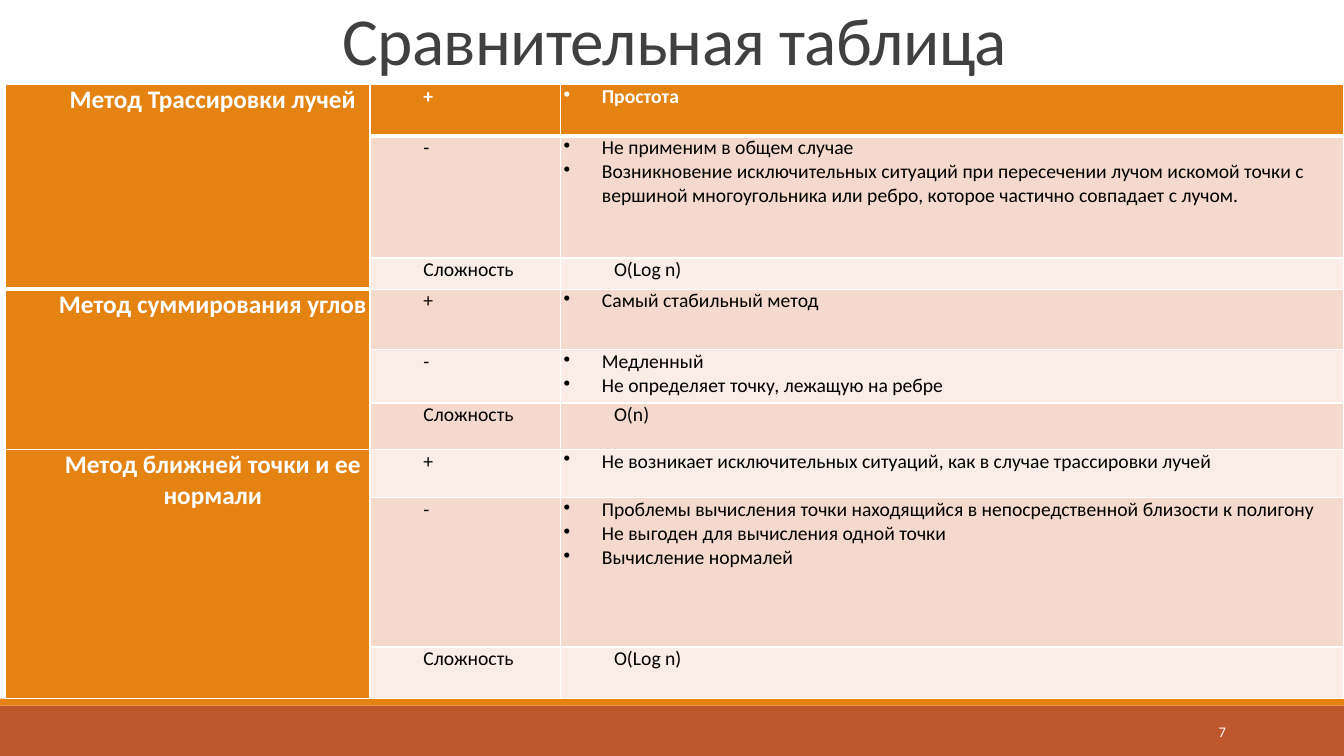
from pptx import Presentation
from pptx.dml.color import RGBColor
from pptx.enum.shapes import MSO_SHAPE as Preset
from pptx.enum.text import MSO_ANCHOR as Anchor, MSO_AUTO_SIZE as AutoSize, PP_ALIGN as Align
from pptx.oxml.ns import qn
from pptx.util import Inches, Pt
from lxml.etree import SubElement

ORANGE, RUST, WHITE, BLACK, GREY = "E48312", "BD582C", "FFFFFF", "000000", "404040"
BANDS = ("FAEDE7", "F5D9CC")

# Widths and heights are percentages of the slide
COLUMNS = (27.15, 14.18, 58.28)
ROWS = (6.8, 16.13, 4.13, 8, 7.07, 6.13, 6.4, 19.73, 6.8)

# Method: advantages, drawbacks, complexity
METHODS = (
    ("Метод Трассировки лучей",
     ["Простота"],
     ["Не применим в общем случае",
      "Возникновение исключительных ситуаций при пересечении лучом искомой точки "
      "с вершиной многоугольника или ребро, которое частично совпадает с лучом."],
     "O(Log n)"),
    ("Метод суммирования углов",
     ["Самый стабильный метод"],
     ["Медленный", "Не определяет точку, лежащую на ребре"],
     "O(n)"),
    ("Метод ближней точки и ее нормали",
     ["Не возникает исключительных ситуаций, как в случае трассировки лучей"],
     ["Проблемы вычисления точки находящийся в непосредственной близости к полигону",
      "Не выгоден для вычисления одной точки",
      "Вычисление нормалей"],
     "O(Log n)"),
)


def color(value):
    return RGBColor.from_string(value)


class SlideBuilder:
    font_name = "Calibri"

    def __init__(self, deck):
        self.deck = deck
        self.slide = deck.slides.add_slide(deck.slide_layouts[5])

    def x(self, percent):
        return round(self.deck.slide_width * percent / 100)

    def y(self, percent):
        return round(self.deck.slide_height * percent / 100)

    def box(self, left, top, width, height):
        return self.x(left), self.y(top), self.x(width), self.y(height)

    def style(self, paragraph, size, ink, bold=False, align=Align.LEFT):
        paragraph.alignment = align
        font = paragraph.font
        font.name, font.size, font.bold = self.font_name, Pt(size), bold
        font.color.rgb = color(ink)

    def title(self, text, *place):
        heading = self.slide.shapes.title
        heading.left, heading.top, heading.width, heading.height = self.box(*place)
        frame = heading.text_frame
        frame.text, frame.vertical_anchor = text, Anchor.BOTTOM
        frame.auto_size, frame.word_wrap = AutoSize.NONE, True
        line = frame.paragraphs[0]
        line.line_spacing = 0.85
        self.style(line, 48, GREY, align=Align.CENTER)
        line.runs[0].font._element.set("spc", "-50")

    def bar(self, fill, *place):
        band = self.slide.shapes.add_shape(Preset.RECTANGLE, *self.box(*place))
        band.shadow.inherit = False
        band.fill.solid()
        band.fill.fore_color.rgb = color(fill)
        band.line.fill.background()

    def label(self, text, size, ink, *place):
        frame = self.slide.shapes.add_textbox(*self.box(*place)).text_frame
        frame.word_wrap, frame.vertical_anchor = True, Anchor.MIDDLE
        frame.text = text
        self.style(frame.paragraphs[0], size, ink, align=Align.RIGHT)

    def table(self, left, top, columns, rows):
        place = self.box(left, top, sum(columns), sum(rows))
        grid = self.slide.shapes.add_table(len(rows), len(columns), *place).table
        grid.first_row = grid.horz_banding = False
        for column, width in zip(grid.columns, columns):
            column.width = self.x(width)
        for row, height in zip(grid.rows, rows):
            row.height = self.y(height)
        return grid

    def cell(self, cell, fill, top=1, bottom=1):
        cell.margin_left = cell.margin_right = Inches(0.03)
        cell.margin_top = cell.margin_bottom = 0
        properties = cell._tc.get_or_add_tcPr()
        for side, width in (("L", 1), ("R", 1), ("T", top), ("B", bottom)):
            border = SubElement(properties, qn(f"a:ln{side}"), w=str(Pt(width)))
            paint = SubElement(border, qn("a:solidFill"))
            SubElement(paint, qn("a:srgbClr"), val=WHITE)
        cell.fill.solid()
        cell.fill.fore_color.rgb = color(fill)

    def cell_text(self, cell, lines, size, ink, bold=False, align=Align.LEFT, bullets=False):
        cell.text = "\n".join(lines)
        margin = Inches(0.38 if bullets else 0.5)
        for paragraph in cell.text_frame.paragraphs:
            self.style(paragraph, size, ink, bold, align)
            properties = paragraph._p.get_or_add_pPr()
            properties.set("marL", str(margin))
            properties.set("indent", str(-margin if bullets else 0))
            if bullets:
                bullet = SubElement(properties, qn("a:buChar"), char="•")
                properties.insert(0, bullet)


def build_comparison(page):
    grid = page.table(0.38, 11.2, COLUMNS, ROWS)

    # Fills and borders: the first row is a header with a thick lower edge
    for row in range(len(ROWS)):
        for column in range(len(COLUMNS)):
            fill = ORANGE if row == 0 or column == 0 else BANDS[row % 2]
            header_end = 2 if column == 0 else 0
            page.cell(grid.cell(row, column), fill,
                      top=3 if row == header_end + 1 else 1,
                      bottom=3 if row in (0, header_end) else 1)

    # Three rows for each method
    for index, (method, pluses, minuses, complexity) in enumerate(METHODS):
        first = index * 3
        name = grid.cell(first, 0)
        name.merge(grid.cell(first + 2, 0))
        page.cell_text(name, [method], 18, WHITE, True, Align.CENTER)
        aspects = (("+", pluses), ("-", minuses), ("Сложность", [complexity]))
        for row, (aspect, details) in enumerate(aspects, first):
            header = row == 0
            ink = WHITE if header else BLACK
            page.cell_text(grid.cell(row, 1), [aspect], 14, ink, header)
            page.cell_text(grid.cell(row, 2), details, 14, ink, header,
                           bullets=aspect != "Сложность")


def main():
    deck = Presentation()
    deck.slide_width, deck.slide_height = Inches(13.33), Inches(7.5)
    page = SlideBuilder(deck)

    # Footer bars
    page.bar(RUST, 0, 93.33, 100, 6.67)
    page.bar(ORANGE, 0, 92.4, 100, 0.93)

    # Title, page number and table
    page.title("Сравнительная таблица", 19.28, 0.53, 61.88, 10.67)
    page.label("7", 10.5, WHITE, 81.23, 94.13, 10.73, 5.33)
    build_comparison(page)

    deck.save("out.pptx")


if __name__ == "__main__":
    main()
